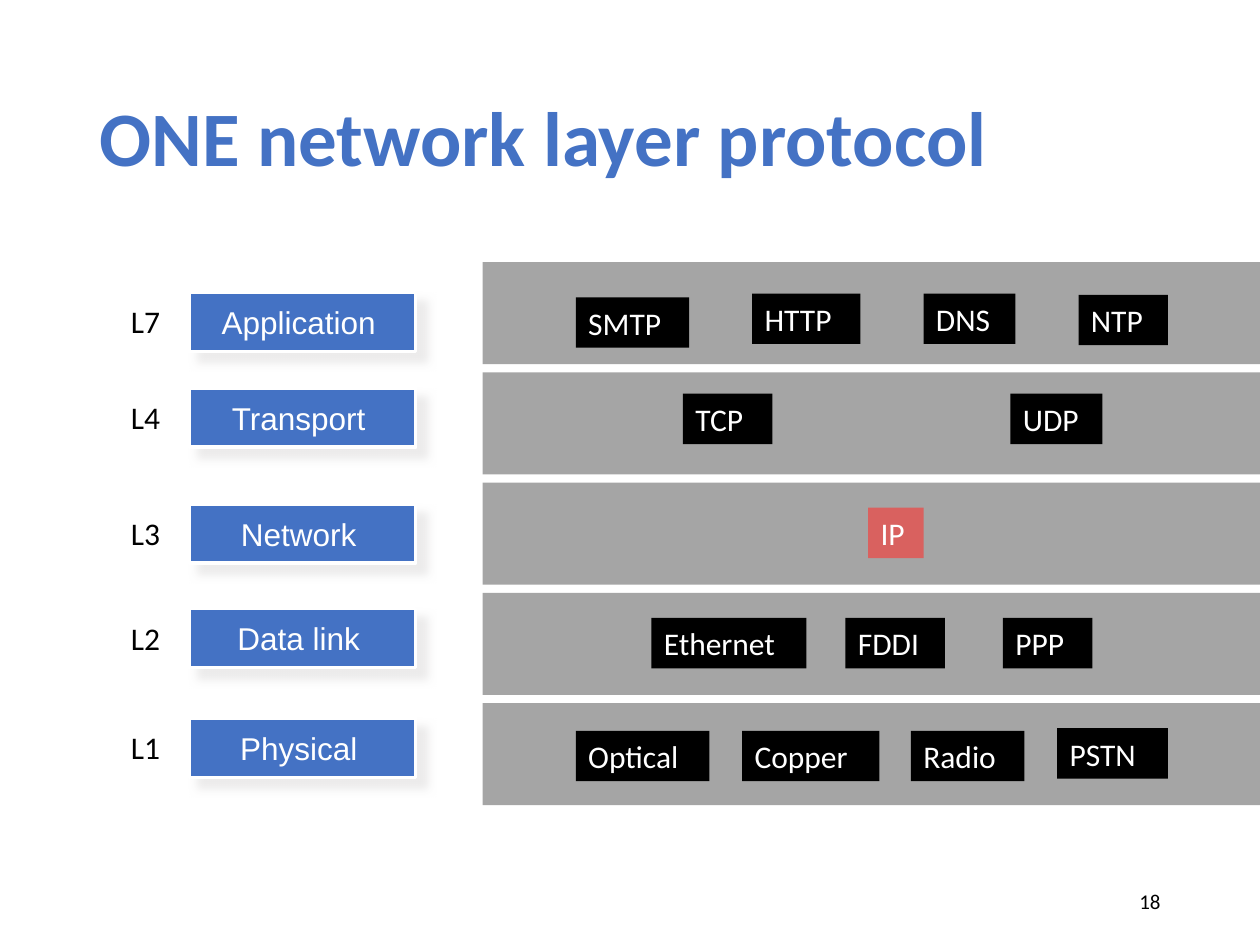
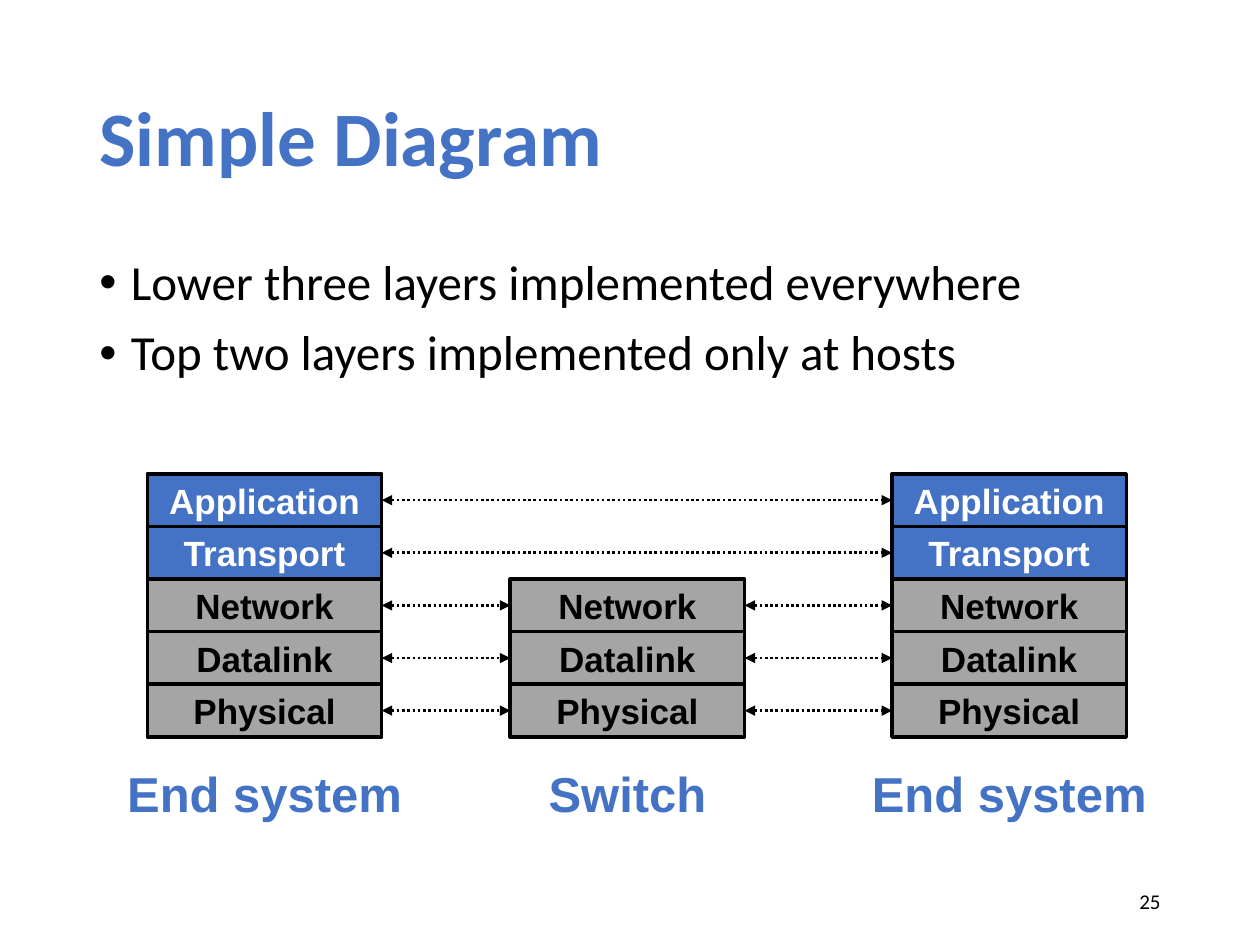
from itertools import pairwise

from lxml import etree
from pptx import Presentation
from pptx.dml.color import RGBColor
from pptx.enum.dml import MSO_LINE
from pptx.enum.shapes import MSO_CONNECTOR, MSO_SHAPE
from pptx.enum.text import MSO_ANCHOR, MSO_AUTO_SIZE, PP_ALIGN
from pptx.oxml.ns import qn
from pptx.util import Inches, Pt

RECT = MSO_SHAPE.RECTANGLE
STRAIGHT = MSO_CONNECTOR.STRAIGHT
DOTTED = MSO_LINE.ROUND_DOT
LEFT, CENTER, RIGHT = PP_ALIGN.LEFT, PP_ALIGN.CENTER, PP_ALIGN.RIGHT
MIDDLE = MSO_ANCHOR.MIDDLE
LEFT_SIDE, RIGHT_SIDE = 1, 3
TITLE_ONLY = 5

BLUE, GRAY, RED = "4472C4", "A5A5A5", "D9615F"
BLACK, WHITE, SHADOW = "000000", "FFFFFF", "E7E6E6"
BODY_FONT, DIAGRAM_FONT = "Calibri", "Arial"

# number, name, top of the name box, protocols as (name, left, top, width) in the band
LAYERS = [
    ("L7", "Application", 2.32, [("SMTP", 0.74, 0.28, 0.9), ("HTTP", 2.14, 0.25, 0.86),
                                 ("DNS", 3.5, 0.25, 0.73), ("NTP", 4.73, 0.26, 0.71)]),
    ("L4", "Transport", 3.08, [("TCP", 1.59, 0.17, 0.71), ("UDP", 4.19, 0.17, 0.73)]),
    ("L3", "Network", 4.0, [("IP", 3.06, 0.2, 0.44)]),
    ("L2", "Data link", 4.83, [("Ethernet", 1.34, 0.2, 1.23), ("FDDI", 2.88, 0.2, 0.79),
                               ("PPP", 4.13, 0.2, 0.71)]),
    ("L1", "Physical", 5.7, [("Optical", 0.74, 0.22, 1.06), ("Copper", 2.06, 0.22, 1.09),
                             ("Radio", 3.4, 0.22, 0.9), ("PSTN", 4.56, 0.2, 0.88)]),
]

STACK = ["Application", "Transport", "Network", "Datalink", "Physical"]
HOST_ONLY = STACK[:2]
SYSTEMS = [("End system", 1.17, STACK), ("Switch", 4.05, STACK[2:]), ("End system", 7.08, STACK)]


def color(hex_string):
    return RGBColor.from_string(hex_string)


def write(shape, lines, size, ink, font=BODY_FONT, bold=False, align=LEFT):
    frame = shape.text_frame
    frame.text = lines
    frame.word_wrap = True
    frame.auto_size = MSO_AUTO_SIZE.NONE
    for paragraph in frame.paragraphs:
        paragraph.alignment = align
        for run in paragraph.runs:
            run.font.name, run.font.size, run.font.bold = font, Pt(size), bold
            run.font.color.rgb = color(ink)
    return frame


def add_rect(slide, left, top, width, height, fill, outline=None):
    rect = slide.shapes.add_shape(RECT, Inches(left), Inches(top), Inches(width), Inches(height))
    rect.shadow.inherit = False
    rect.fill.solid()
    rect.fill.fore_color.rgb = color(fill)
    if outline:
        rect.line.color.rgb = color(outline)
        rect.line.width = Pt(2)
    else:
        rect.line.fill.background()
    return rect


def add_text(slide, left, top, width, height, lines, size, ink, **style):
    box = slide.shapes.add_textbox(Inches(left), Inches(top), Inches(width), Inches(height))
    return write(box, lines, size, ink, **style)


def add_tag(slide, left, top, width, name, fill, ink=WHITE):
    tag = add_rect(slide, left, top, width, 0.4, fill)
    write(tag, name, 18, ink).margin_right = 0


def cast_shadow(shape):
    """Give the shape a soft grey shadow towards the lower right."""
    effects = shape._element.spPr.find(qn("a:effectLst"))
    outer = etree.SubElement(effects, qn("a:outerShdw"), blurRad=str(Pt(5)), dist=str(Pt(8)),
                             dir="2700000", algn="ctr", rotWithShape="0")
    tint = etree.SubElement(outer, qn("a:srgbClr"), val=SHADOW)
    etree.SubElement(tint, qn("a:alpha"), val="75000")


def add_titled_slide(deck, title, number):
    slide = deck.slides.add_slide(deck.slide_layouts[TITLE_ONLY])
    heading = slide.shapes.title
    heading.left, heading.top = Inches(0.69), Inches(0.4)
    heading.width, heading.height = Inches(8.62), Inches(1.45)
    frame = write(heading, title, 44, BLUE, bold=True)
    frame.vertical_anchor = MIDDLE
    frame.paragraphs[0].line_spacing = 0.9
    footer = add_text(slide, 7.06, 6.95, 2.25, 0.4, number, 12, BLACK, align=RIGHT)
    footer.vertical_anchor = MIDDLE
    return slide


def add_protocol_band(slide, left, top, protocols):
    add_rect(slide, left, top, 10 - left, 0.81, GRAY)
    for name, x, y, width in protocols:
        add_tag(slide, left + x, top + y, width, name, RED if name == "IP" else BLACK)


def add_layer_name(slide, left, top, number, name):
    add_tag(slide, left, top + 0.03, 0.44, number, WHITE, BLACK)
    box = add_rect(slide, left + 0.56, top, 1.8, 0.47, BLUE, WHITE)
    cast_shadow(box)
    frame = write(box, name, 18, WHITE, font=DIAGRAM_FONT, align=CENTER)
    frame.margin_left, frame.margin_right = Inches(0.04), Inches(0.1)


def add_bullets(slide, left, top, width, height, lines):
    frame = add_text(slide, left, top, width, height, lines, 28, BLACK)
    for paragraph in frame.paragraphs:
        paragraph.line_spacing, paragraph.space_before = 0.9, Pt(10)
        properties = paragraph._p.get_or_add_pPr()
        properties.set("marL", str(Inches(0.25)))
        properties.set("indent", str(-Inches(0.25)))
        etree.SubElement(properties, qn("a:buFont"), typeface="Arial")
        etree.SubElement(properties, qn("a:buChar"), char="•")


def add_system(slide, left, top, caption, layers):
    """Draw one stack aligned at its lowest layer; return its cells by layer name."""
    width, height = 1.86, 0.42
    cells = {}
    for layer in layers:
        upper = layer in HOST_ONLY
        cell = add_rect(slide, left, top + 0.4175 * STACK.index(layer), width, height,
                        BLUE if upper else GRAY, BLACK)
        frame = write(cell, layer, 20, WHITE if upper else BLACK,
                      font=DIAGRAM_FONT, bold=True, align=CENTER)
        frame.margin_top = frame.margin_bottom = 0
        cells[layer] = cell
    caption_width = 2.6
    add_text(slide, left + (width - caption_width) / 2, top + 2.25, caption_width, 0.57,
             caption, 28, BLUE, font=DIAGRAM_FONT, bold=True, align=CENTER)
    return cells


def link_peers(slide, sender, receiver):
    link = slide.shapes.add_connector(STRAIGHT, 0, 0, 0, 0)
    link.begin_connect(sender, RIGHT_SIDE)
    link.end_connect(receiver, LEFT_SIDE)
    link.line.color.rgb = color(BLACK)
    link.line.width = Pt(1.5)
    link.line.dash_style = DOTTED
    properties = link._element.spPr
    for end in ("a:headEnd", "a:tailEnd"):
        etree.SubElement(properties.find(qn("a:ln")), qn(end), type="triangle")
    etree.SubElement(properties, qn("a:effectLst"))


def build_protocol_slide(deck):
    slide = add_titled_slide(deck, "ONE network layer protocol", "18")
    for row, (number, name, name_top, protocols) in enumerate(LAYERS):
        add_protocol_band(slide, 3.83, 2.08 + 0.875 * row, protocols)
        add_layer_name(slide, 0.94, name_top, number, name)


def build_diagram_slide(deck):
    slide = add_titled_slide(deck, "Simple Diagram", "25")
    add_bullets(slide, 0.69, 2, 8.62, 1.2, "Lower three layers implemented everywhere\n"
                                           "Top two layers implemented only at hosts")
    systems = [add_system(slide, left, 3.76, caption, layers)
               for caption, left, layers in SYSTEMS]
    for layer in STACK:
        peers = [cells[layer] for cells in systems if layer in cells]
        for sender, receiver in pairwise(peers):
            link_peers(slide, sender, receiver)


def main():
    deck = Presentation()
    deck.slide_width, deck.slide_height = Inches(10), Inches(7.5)
    build_protocol_slide(deck)
    build_diagram_slide(deck)
    deck.save("out.pptx")


if __name__ == "__main__":
    main()
